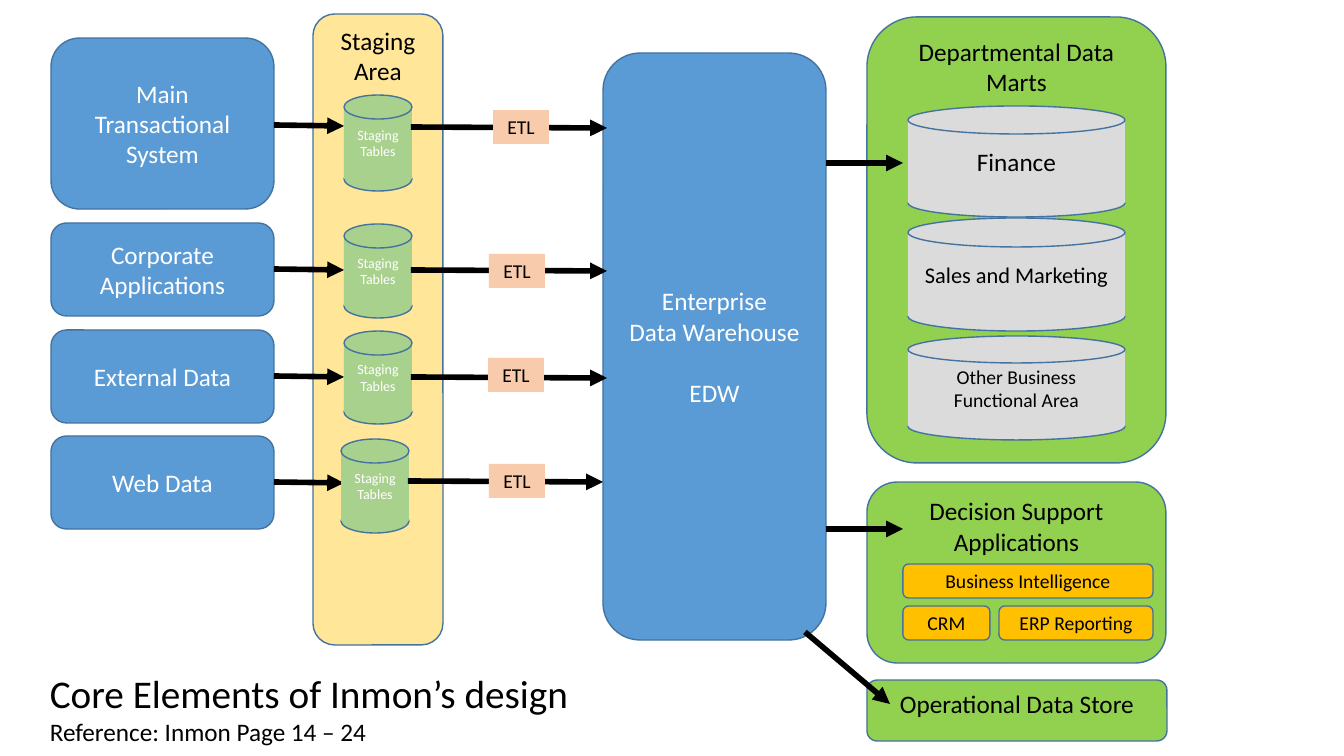
from lxml.etree import SubElement
from pptx import Presentation
from pptx.dml.color import RGBColor
from pptx.enum.shapes import MSO_CONNECTOR, MSO_SHAPE
from pptx.enum.text import MSO_ANCHOR, PP_ALIGN
from pptx.oxml.ns import qn
from pptx.util import Pt

SCALE = 914400 / 100.8
FONT = "Calibri"
BLACK, WHITE, OUTLINE = "000000", "FFFFFF", "43739E"
BLUE, GREEN, SAND, ORANGE = "5B9BD5", "92D050", "FFE699", "FFC000"
STAGE, GREY, PEACH = "A9D18E", "DBDBDB", "F8CBAD"


def px(*values):
    """Turn pixel lengths into EMU."""
    return [round(v * SCALE) for v in values]


def rgb(color):
    """Make a colour from a hex string."""
    return RGBColor.from_string(color)


def write(sp, lines, sizes, color, align=PP_ALIGN.CENTER, anchor=MSO_ANCHOR.MIDDLE):
    """Fill a shape with one paragraph per line; sizes has one entry per line."""
    tf = sp.text_frame
    tf.text = "\n".join(lines)
    tf.word_wrap = True
    tf.vertical_anchor = anchor
    for p, size in zip(tf.paragraphs, sizes):
        p.alignment = align
        for r in p.runs:
            r.font.name = FONT
            r.font.size = Pt(size)
            r.font.color.rgb = rgb(color)


def add_box(shapes, box, fill, text="", size=18, color=BLACK, kind=MSO_SHAPE.ROUNDED_RECTANGLE,
            line=OUTLINE, anchor=MSO_ANCHOR.MIDDLE):
    """Add a filled shape with centred text."""
    sp = shapes.add_shape(kind, *px(*box))
    sp.shadow.inherit = False
    sp.fill.solid()
    sp.fill.fore_color.rgb = rgb(fill)
    if line:
        sp.line.color.rgb = rgb(line)
        sp.line.width = Pt(1)
    else:
        sp.line.fill.background()
    if text:
        lines = text.split("\n")
        write(sp, lines, [size] * len(lines), color, anchor=anchor)
    return sp


def add_arrow(shapes, x1, y1, x2, y2):
    """Add a thick black arrow."""
    cxn = shapes.add_connector(MSO_CONNECTOR.STRAIGHT, *px(x1, y1, x2, y2))
    cxn.line.color.rgb = rgb(BLACK)
    cxn.line.width = Pt(4)
    SubElement(cxn.line._get_or_add_ln(), qn("a:tailEnd"), type="triangle")
    SubElement(cxn._element.spPr, qn("a:effectLst"))


def add_cylinder(shapes, box, cap, fill, text, size, color):
    """Add a grouped cylinder: bottom ellipse, body, top ellipse."""
    x, y, w, h = box
    parts = shapes.add_group_shape().shapes
    add_box(parts, (x, y + h - cap, w, cap), fill, kind=MSO_SHAPE.OVAL)
    add_box(parts, (x, y + cap / 2, w, h - cap), fill, text, size, color,
            MSO_SHAPE.RECTANGLE, line=None)
    add_box(parts, (x, y, w, cap), fill, kind=MSO_SHAPE.OVAL)


def add_sources(shapes, box):
    """Place the source systems and their arrows to staging."""
    x, y, w, _ = box
    sources = [("Main\nTransactional\nSystem", 0, 171, 87), ("Corporate Applications", 185, 93, 231),
               ("External Data", 292, 93, 338), ("Web Data", 398, 93, 444)]
    for text, top, height, arrow in sources:
        add_box(shapes, (x, y + top, w, height), BLUE, text, color=WHITE)
        add_arrow(shapes, x + w, y + arrow, x + w + 70, y + arrow + 1)


def add_staging(shapes, box):
    """Place the staging cylinders inside the staging area."""
    x, y = box[:2]
    for left, top, height in [(31, 81, 96), (31, 210, 94), (31, 317, 93), (28, 425, 94)]:
        add_cylinder(shapes, (x + left, y + top, 68, height), 24, STAGE,
                     "Staging\nTables", 10, WHITE)


def add_etl(shapes, box):
    """Place the ETL arrows and labels between staging and warehouse."""
    x, y, w, _ = box
    flows = [(0, w, 0, 82, -17), (0, w, 143, 78, 127), (0, w, 250, 77, 231), (-3, w - 4, 354, 78, 337)]
    for start, end, arrow, left, top in flows:
        add_arrow(shapes, x + start, y + arrow, x + end, y + arrow + 1)
        add_box(shapes, (x + left, y + top, 56, 34), PEACH, "ETL", 14,
                kind=MSO_SHAPE.RECTANGLE, line=None)


def add_warehouse(shapes, box):
    """Place the enterprise data warehouse."""
    sp = add_box(shapes, box, BLUE, "Enterprise\nData Warehouse\nEDW", color=WHITE)
    sp.text_frame.paragraphs[-1].space_before = Pt(22)


def add_marts(shapes, box):
    """Place the departmental data marts."""
    x, y = box[:2]
    add_box(shapes, box, GREEN, "Departmental Data Marts", anchor=MSO_ANCHOR.TOP)
    marts = [("Finance", 18, 89, 111, 28), ("Sales and Marketing", 16, 201, 113, 29),
             ("Other Business\nFunctional Area", 14, 319, 104, 27)]
    for text, size, top, height, cap in marts:
        add_cylinder(shapes, (x + 41, y + top, 217, height), cap, GREY, text, size, BLACK)


def add_applications(shapes, box):
    """Place the decision support applications."""
    x, y = box[:2]
    add_box(shapes, box, GREEN, "Decision Support Applications", anchor=MSO_ANCHOR.TOP)
    for text, left, top, width in [("Business Intelligence", 36, 82, 250), ("CRM", 36, 124, 87),
                                   ("ERP Reporting", 132, 124, 154)]:
        add_box(shapes, (x + left, y + top, width, 34), ORANGE, text, 14)


def add_outputs(shapes, box):
    """Place the arrows leaving the warehouse box."""
    x, y, w, h = box
    for arrow in (110, 476):
        add_arrow(shapes, x + w, y + arrow, x + w + 77, y + arrow)
    add_arrow(shapes, x + w - 21, y + h - 8, x + w + 64, y + h + 64)


def add_title(shapes, box):
    """Place the title and its reference line."""
    sp = shapes.add_textbox(*px(*box))
    write(sp, ["Core Elements of Inmon’s design", "Reference: Inmon Page 14 – 24"],
          [28, 18], BLACK, PP_ALIGN.LEFT, MSO_ANCHOR.TOP)


def main():
    """Build the slide."""
    prs = Presentation()
    prs.slide_width, prs.slide_height = px(1344, 756)
    shapes = prs.slides.add_slide(prs.slide_layouts[6]).shapes
    staging, warehouse = (313, 14, 130, 631), (603, 53, 223, 587)
    add_box(shapes, staging, SAND, "Staging Area", anchor=MSO_ANCHOR.TOP)
    add_sources(shapes, (51, 38, 223, 491))
    add_staging(shapes, staging)
    add_warehouse(shapes, warehouse)
    add_etl(shapes, (411, 127, 196, 355))
    add_marts(shapes, (867, 17, 299, 446))
    add_applications(shapes, (867, 482, 299, 181))
    add_box(shapes, (867, 680, 300, 61), GREEN, "Operational Data Store", anchor=MSO_ANCHOR.TOP)
    add_outputs(shapes, warehouse)
    add_title(shapes, (40, 664, 606, 92))
    prs.save("out.pptx")


main()
